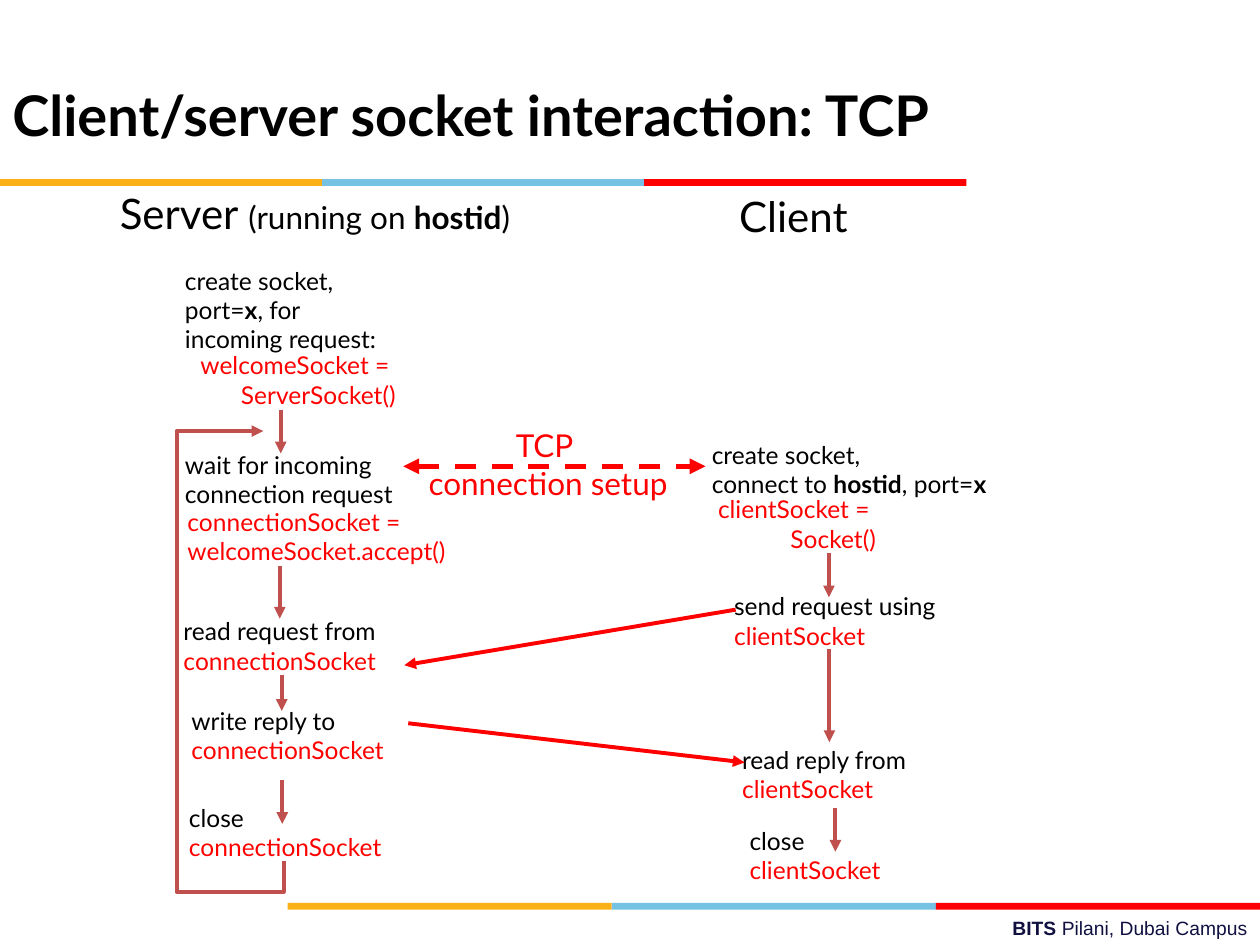
from pptx import Presentation
from pptx.dml.color import RGBColor
from pptx.enum.dml import MSO_LINE as Dash
from pptx.enum.shapes import MSO_CONNECTOR as Link, MSO_SHAPE as Shape
from pptx.enum.text import MSO_ANCHOR as Anchor, MSO_AUTO_SIZE as Fit, PP_ALIGN as Align
from pptx.oxml.ns import qn
from pptx.util import Cm, Pt
from lxml.etree import SubElement as Sub

BLACK = RGBColor(0x00, 0x00, 0x00)
RED = RGBColor(0xFF, 0x00, 0x00)
BRICK = RGBColor(0xC0, 0x50, 0x4D)
GOLD = RGBColor(0xFC, 0xB0, 0x17)
SKY = RGBColor(0x76, 0xC2, 0xE5)
NAVY = RGBColor(0x10, 0x11, 0x41)

STEP = {"name": "Lato", "size": Pt(14), "bold": False}
HEAD = {**STEP, "size": Pt(24)}
MID = {**STEP, "size": Pt(18)}
TITLE = {**STEP, "size": Pt(32), "bold": True}
FOOT = {**STEP, "name": "Arial", "size": Pt(11)}
BOLD = {"bold": True}
TWO = 1.45


def apply(item, form):
    for key, value in form.items():
        setattr(item, key, value)


def note(slide, box, lines, form=STEP, color=BLACK, align=Align.LEFT, wrap=False):
    frame = slide.shapes.add_textbox(*map(Cm, box)).text_frame
    apply(frame, {"word_wrap": wrap, "vertical_anchor": Anchor.MIDDLE,
                  "auto_size": Fit.NONE if wrap else Fit.SHAPE_TO_FIT_TEXT})
    for i, line in enumerate(lines):
        para = frame.add_paragraph() if i else frame.paragraphs[0]
        para.alignment = align
        for text, extra, *tint in line:
            run = para.add_run()
            run.text = text
            apply(run.font, {**form, **extra})
            run.font.color.rgb = tint[0] if tint else color


def plain(*texts):
    return [[(text, {})] for text in texts]


def duo(text, name):
    return [[(text, {})], [(name, {}, RED)]]


def tip(line, *ends):
    for end in ends:
        Sub(line.line._get_or_add_ln(), qn("a:" + end), type="triangle")


def arrow(slide, start, end, color=BRICK, width=2.25, dash=None):
    line = slide.shapes.add_connector(Link.STRAIGHT, *map(Cm, start + end))
    line.line.color.rgb = color
    apply(line.line, {"width": Pt(width), "dash_style": dash})
    tip(line, *(["headEnd", "tailEnd"] if dash else ["tailEnd"]))
    Sub(line._element.spPr, qn("a:effectLst"))


def strip(slide, left, top, width):
    part = width / 3
    for i, color in enumerate((GOLD, SKY, RED)):
        box = (left + i * part, top, part, 0.14)
        bar = slide.shapes.add_shape(Shape.RECTANGLE, *map(Cm, box))
        bar.shadow.inherit = False
        bar.fill.solid()
        bar.fill.fore_color.rgb = color
        bar.line.fill.background()


def loop(slide, points):
    first, *rest = [(Cm(x), Cm(y)) for x, y in points]
    build = slide.shapes.build_freeform(*first)
    build.add_line_segments(rest, close=False)
    path = build.convert_to_shape()
    path.shadow.inherit = False
    path.fill.background()
    path.line.color.rgb = BRICK
    path.line.width = Pt(2.25)
    tip(path, "tailEnd")


def header(slide, x, y):
    note(slide, (x, y, 21.59, 3.18), plain("Client/server socket interaction: TCP"),
         TITLE, wrap=True)
    strip(slide, x, y + 2.9, 19.48)


def footer(slide, x, y):
    strip(slide, x, y, 19.6)
    note(slide, (x + 3.3, y + 0.13, 16.3, 0.74),
         [[("BITS ", BOLD), ("Pilani, Dubai Campus", {})]],
         FOOT, NAVY, Align.RIGHT, True)


def server(slide, x, y):
    small = {"size": Pt(18)}
    note(slide, (x, y, 9.14, 1.27),
         [[("Server ", {}), ("(running on ", small),
           ("hostid", {**small, **BOLD}), (")", small)]], HEAD, align=Align.CENTER)
    note(slide, (x + 1.7, y + 1.57, 4.72, 2.03),
         [[("create socket,", {})], [("port=", {}), ("x", BOLD), (", for", {})],
          [("incoming request:", {})]])
    note(slide, (x + 1.8, y + 3.27, 4.65, TWO),
         plain("welcomeSocket = ", "ServerSocket()"), color=RED, align=Align.RIGHT)
    note(slide, (x + 1.7, y + 5.28, 5, TWO),
         plain("wait for incoming", "connection request"))
    note(slide, (x + 1.75, y + 6.42, 6.05, TWO),
         plain("connectionSocket =", "welcomeSocket.accept()"), color=RED)
    for text, left, top, width in (("read request from", 1.67, 8.63, 4.75),
                                   ("write reply to", 1.83, 10.44, 4.62),
                                   ("close", 1.78, 12.39, 4.62)):
        note(slide, (x + left, y + top, width, TWO), duo(text, "connectionSocket"))
    for left, top, end in ((3.88, 4.6, 5.48), (3.86, 7.74, 8.81),
                           (3.9, 9.95, 10.67), (3.91, 12.06, 12.95)):
        arrow(slide, (x + left, y + top), (x + left, y + end))
    loop(slide, [(x + a, y + b) for a, b in (
        (3.94, 13.69), (3.94, 14.32), (1.78, 14.32), (1.78, 5.03), (3.53, 5.03))])


def client(slide, x, y):
    note(slide, (x + 0.54, y, 2.77, 1.27), plain("Client"), HEAD, align=Align.CENTER)
    note(slide, (x + 0.03, y + 5.03, 6.45, TWO),
         [[("create socket,", {})],
          [("connect to ", {}), ("hostid", BOLD), (", port=", {}), ("x", BOLD)]])
    note(slide, (x, y + 6.12, 3.84, TWO),
         plain("clientSocket = ", "Socket()"), color=RED, align=Align.RIGHT)
    for text, left, top, width in (("send request using", 0.48, 8.08, 4.95),
                                   ("read reply from", 0.64, 11.17, 4.14),
                                   ("close", 0.79, 12.8, 3.3)):
        note(slide, (x + left, y + top, width, TWO), duo(text, "clientSocket"))
    for left, top, end in ((2.64, 7.44, 8.33), (2.65, 9.37, 11.25),
                           (2.77, 12.57, 13.46)):
        arrow(slide, (x + left, y + top), (x + left, y + end))


def links(slide, x, y):
    arrow(slide, (x, y + 0.94), (x + 6.09, y + 0.94), RED, 3, Dash.DASH)
    note(slide, (x + 0.1, y, 5.64, 1.78), plain("TCP ", "connection setup"),
         MID, RED, Align.CENTER)
    arrow(slide, (x + 6.7, y + 3.83), (x + 0.02, y + 4.95), RED)
    arrow(slide, (x + 0.1, y + 6.12), (x + 6.88, y + 6.91), RED)


def main():
    deck = Presentation()
    apply(deck, {"slide_width": Cm(25.4), "slide_height": Cm(19.05)})
    slide = deck.slides.add_slide(deck.slide_layouts[6])
    footer(slide, 5.8, 18.2)
    header(slide, 0, 0.71)
    server(slide, 1.78, 3.66)
    client(slide, 14.07, 3.71)
    links(slide, 8.13, 8.46)
    deck.save("out.pptx")


if __name__ == "__main__":
    main()
